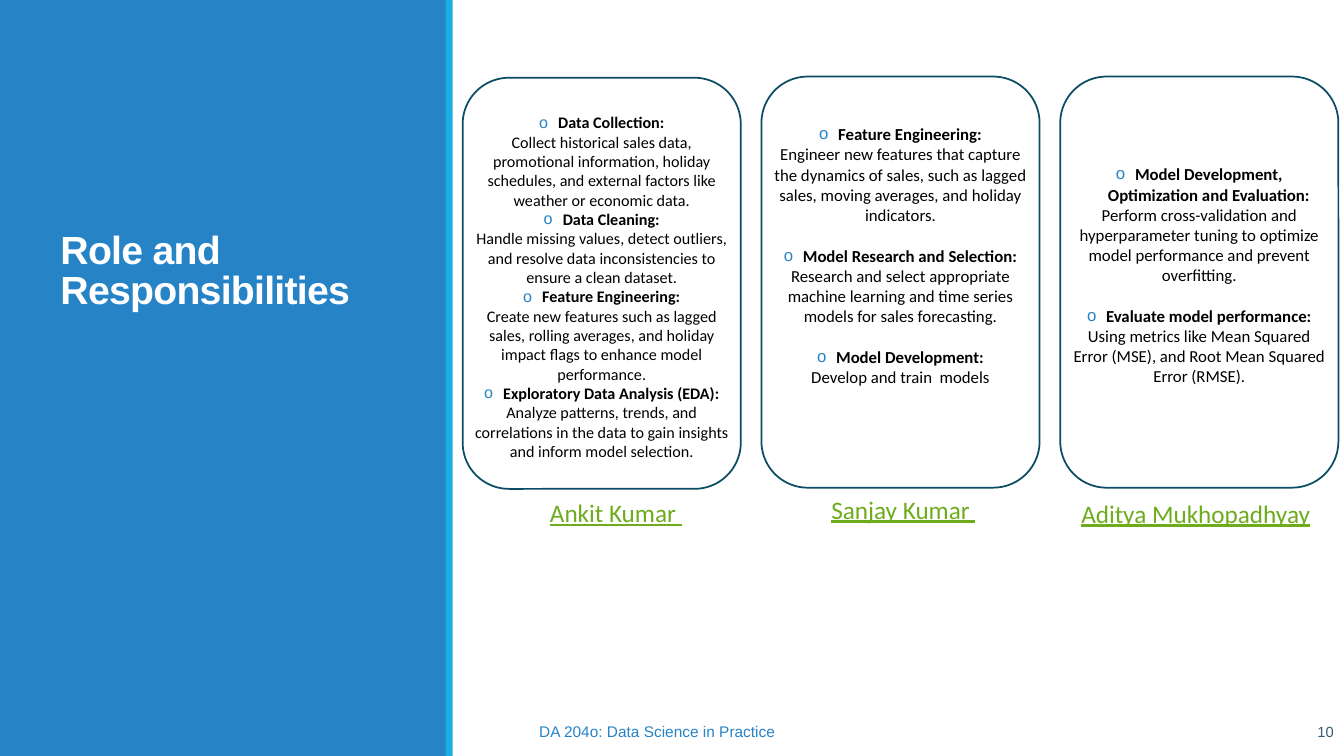
import pptx
import pptx.util
import pptx.dml.color
import pptx.enum.shapes
import pptx.enum.text
from lxml import etree
from pptx.oxml import ns

Cm = pptx.util.Cm
Pt = pptx.util.Pt
ALIGN = pptx.enum.text.PP_ALIGN
ANCHOR = pptx.enum.text.MSO_ANCHOR
SHAPE = pptx.enum.shapes.MSO_SHAPE

COLORS = {
    "panel": "2683C6",
    "stripe": "1CADE4",
    "white": "FFFFFF",
    "outline": "0C4C64",
    "body": "000000",
    "name": "6EAC1C",
    "number": "335B74",
}

MEMBERS = [
    {
        "name": "Ankit Kumar ", "name_box": (13.61, 12.4, 4.29, 1.02),
        "card_top": 1.96, "text_top": 2.72, "text_height": 10.08, "size": 11.5, "gap": 0,
        "roles": [
            ("Data Collection:", "Collect historical sales data, promotional information, holiday schedules, and external factors like weather or economic data."),
            ("Data Cleaning:", "Handle missing values, detect outliers, and resolve data inconsistencies to ensure a clean dataset."),
            ("Feature Engineering:", "Create new features such as lagged sales, rolling averages, and holiday impact flags to enhance model performance."),
            ("Exploratory Data Analysis (EDA):", "Analyze patterns, trends, and correlations in the data to gain insights and inform model selection."),
        ],
    },
    {
        "name": "Sanjay Kumar ", "name_box": (20.7, 12.32, 5.99, 1.02),
        "card_top": 1.93, "text_top": 3, "text_height": 6.93, "size": 12, "gap": 14.6,
        "roles": [
            ("Feature Engineering:", "Engineer new features that capture the dynamics of sales, such as lagged sales, moving averages, and holiday indicators."),
            ("Model Research and Selection:", "Research and select appropriate machine learning and time series models for sales forecasting."),
            ("Model Development:", "Develop and train  models"),
        ],
    },
    {
        "name": "Aditya Mukhopadhyay", "name_box": (27, 12.42, 6.45, 1.02),
        "card_top": 1.93, "text_top": 4.01, "text_height": 5.92, "size": 12, "gap": 14.6,
        "roles": [
            ("Model Development, Optimization and Evaluation:", "Perform cross-validation and hyperparameter tuning to optimize model performance and prevent overfitting."),
            ("Evaluate model performance:", "Using metrics like Mean Squared Error (MSE), and Root Mean Squared Error (RMSE)."),
        ],
    },
]
CARD_LEFT, CARD_PITCH, CARD_WIDTH, CARD_HEIGHT = 11.66, 7.53, 7.01, 10.36


class Deck:
    heading_font = "Arial"
    body_font = "Calibri"

    def __init__(self):
        self.prs = pptx.Presentation()
        self.prs.slide_width, self.prs.slide_height = Cm(33.87), Cm(19.05)
        self.s = self.prs.slides.add_slide(self.prs.slide_layouts[5])

    def rgb(self, color):
        return pptx.dml.color.RGBColor.from_string(COLORS[color])

    def run(self, p, text, font, size, color, bold=False, underline=False):
        r = p.add_run()
        r.text = text
        r.font.name, r.font.size = font, Pt(size)
        r.font.bold, r.font.underline = bold, underline
        r.font.color.rgb = self.rgb(color)
        return r

    def block(self, kind, box, fill, line=None):
        sp = self.s.shapes.add_shape(kind, *map(Cm, box))
        sp.shadow.inherit = False
        sp.fill.solid()
        sp.fill.fore_color.rgb = self.rgb(fill)
        if line:
            sp.line.color.rgb = self.rgb(line)
            sp.line.width = Pt(1.25)
        else:
            sp.line.fill.background()

    def title(self, text, box):
        sp = self.s.shapes.title
        self.s.shapes._spTree.append(sp._element)
        sp.left, sp.top, sp.width, sp.height = map(Cm, box)
        tf = sp.text_frame
        tf.word_wrap = True
        tf.auto_size = pptx.enum.text.MSO_AUTO_SIZE.NONE
        tf.vertical_anchor = ANCHOR.BOTTOM
        p = tf.paragraphs[0]
        p.alignment, p.line_spacing = ALIGN.LEFT, 0.85
        r = self.run(p, text, self.heading_font, 28, "white", bold=True)
        r.font._element.set("spc", "-50")

    def frame(self, box, anchor=ANCHOR.TOP):
        tf = self.s.shapes.add_textbox(*map(Cm, box)).text_frame
        tf.word_wrap = True
        tf.vertical_anchor = anchor
        return tf

    def label(self, text, box, font, size, color, align=ALIGN.LEFT, anchor=ANCHOR.TOP, underline=False):
        p = self.frame(box, anchor).paragraphs[0]
        p.alignment = align
        self.run(p, text, font, size, color, underline=underline)

    def bullet(self, p):
        pPr = p._p.get_or_add_pPr()
        pPr.set("marL", str(Cm(0.48)))
        pPr.set("indent", str(-Cm(0.48)))
        buClr = etree.SubElement(pPr, ns.qn("a:buClr"))
        etree.SubElement(buClr, ns.qn("a:srgbClr"), val=COLORS["panel"])
        etree.SubElement(pPr, ns.qn("a:buFont"), typeface=self.heading_font)
        etree.SubElement(pPr, ns.qn("a:buChar"), char="o")

    def roles(self, roles, box, size, gap):
        tf = self.frame(box)
        for i, (heading, detail) in enumerate(roles):
            p = tf.add_paragraph() if i else tf.paragraphs[0]
            p.alignment = ALIGN.CENTER
            if i and gap:
                p.space_before = Pt(gap)
            self.bullet(p)
            self.run(p, heading, self.body_font, size, "body", bold=True)
            p = tf.add_paragraph()
            p.alignment = ALIGN.CENTER
            self.run(p, detail, self.body_font, size, "body")


def main():
    deck = Deck()
    deck.block(SHAPE.RECTANGLE, (0, 0, 11.25, 19.05), "panel")
    deck.block(SHAPE.RECTANGLE, (11.23, 0, 0.18, 19.05), "stripe")
    deck.title("Role and Responsibilities", (1.27, 1.65, 8.89, 6.35))
    deck.label("DA 204o: Data Science in Practice", (13.34, 17.93, 12.9, 1.02),
               deck.heading_font, 11, "panel", anchor=ANCHOR.MIDDLE)
    deck.label("10", (30.23, 17.93, 3.63, 1.02), deck.heading_font, 10.5, "number",
               align=ALIGN.RIGHT, anchor=ANCHOR.MIDDLE)
    for i, m in enumerate(MEMBERS):
        left = CARD_LEFT + i * CARD_PITCH
        deck.block(SHAPE.ROUNDED_RECTANGLE, (left, m["card_top"], CARD_WIDTH, CARD_HEIGHT), "white", "outline")
        deck.roles(m["roles"], (left, m["text_top"], CARD_WIDTH, m["text_height"]), m["size"], m["gap"])
        deck.label(m["name"], m["name_box"], deck.body_font, 18, "name", underline=True)
    deck.prs.save("out.pptx")


if __name__ == "__main__":
    main()
